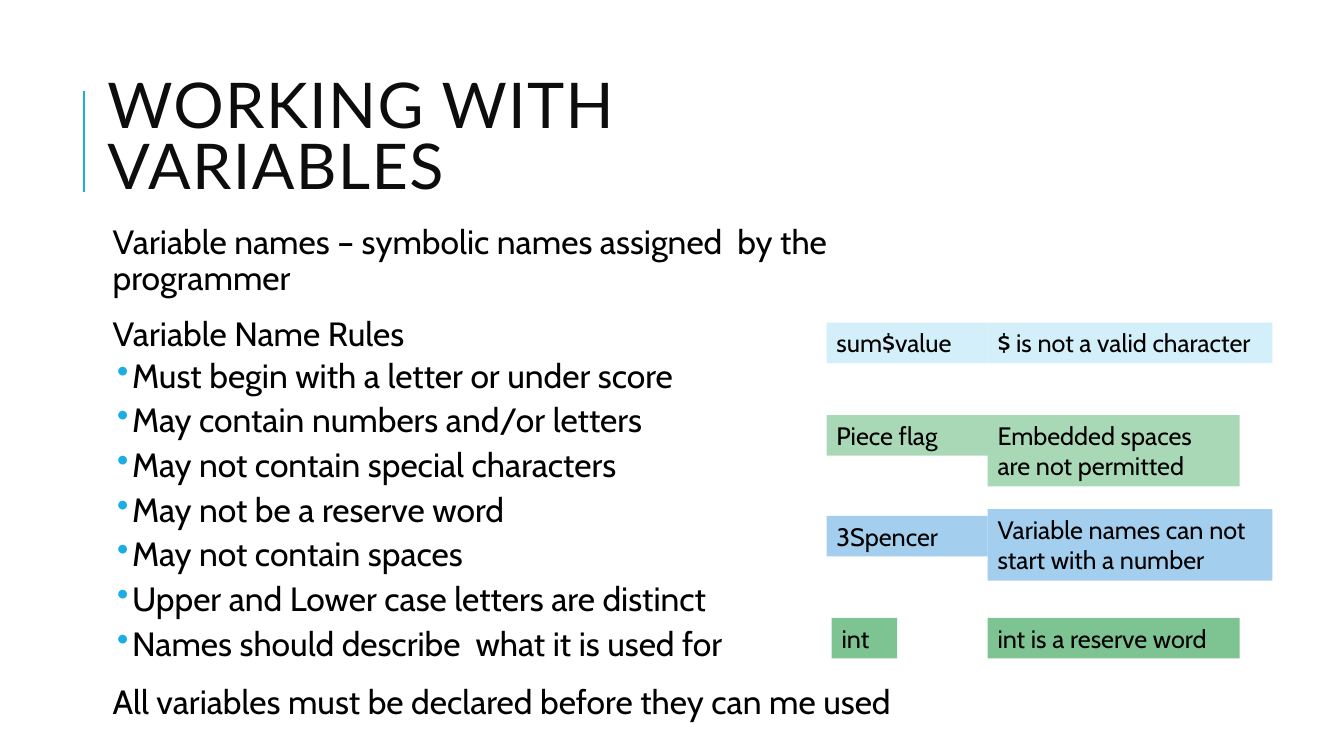
from dataclasses import dataclass

from lxml import etree
from pptx import Presentation
from pptx import util as u
from pptx.dml.color import RGBColor
from pptx.enum import shapes, text
from pptx.oxml.ns import qn


@dataclass
class Theme:
    accent: str = "1CADE4"
    heading: str = "0D0D0D"
    ink: str = "000000"
    sky: str = "D2EFFA"
    mint: str = "A9D8B7"
    blue: str = "A3CEED"
    green: str = "7EC492"
    heading_font: str = "Lato"
    body_font: str = "Cabin"
    heading_size: int = 45
    body_size: int = 24
    example_size: int = 18


theme = Theme()


def add_run(paragraph, wording, size, font=theme.body_font, color=theme.ink):
    """Add one styled run to a paragraph and return it."""
    run = paragraph.add_run()
    run.text = wording
    run.font.size = u.Pt(size)
    run.font.name = font
    run.font.color.rgb = RGBColor.from_string(color)
    return run


def set_bullet(paragraph):
    """Give a paragraph a hanging bullet in the accent colour."""
    props = paragraph._p.get_or_add_pPr()
    props.set("marL", str(u.Cm(0.74)))
    props.set("indent", str(u.Cm(-0.38)))
    bullet_color = etree.SubElement(props, qn("a:buClr"))
    etree.SubElement(bullet_color, qn("a:srgbClr"), val=theme.accent)
    etree.SubElement(props, qn("a:buChar"), char="•")


prs = Presentation()
prs.slide_width, prs.slide_height = u.Cm(33.87), u.Cm(19.05)
slide = prs.slides.add_slide(prs.slide_layouts[6])

# Heading with its accent rule
rule = slide.shapes.add_connector(
    shapes.MSO_CONNECTOR.STRAIGHT, u.Cm(2.11), u.Cm(4.83), u.Cm(2.11), u.Cm(2.29))
rule.line.color.rgb = RGBColor.from_string(theme.accent)
rule.line.width = u.Pt(1.5)
etree.SubElement(rule._element.spPr, qn("a:effectLst"))

heading = slide.shapes.add_textbox(u.Cm(2.46), u.Cm(2.92), u.Cm(14.17), u.Cm(1.27)).text_frame
heading.word_wrap = True
heading.vertical_anchor = text.MSO_ANCHOR.MIDDLE
heading.paragraphs[0].line_spacing = 0.8
heading_run = add_run(heading.paragraphs[0], "WORKING WITH VARIABLES",
                      theme.heading_size, theme.heading_font, theme.heading)
heading_run.font._element.set("spc", "100")

# Naming rules: (wording, is bulleted)
naming_rules = [
    ("Variable names – symbolic names assigned  by the programmer", False),
    ("Variable Name Rules", False),
    ("Must begin with a letter or under score", True),
    ("May contain numbers and/or letters", True),
    ("May not contain special characters", True),
    ("May not be a reserve word", True),
    ("May not contain spaces", True),
    ("Upper and Lower case letters are distinct", True),
    ("Names should describe  what it is used for", True),
    ("All variables must be declared before they can me used", False),
]
rules = slide.shapes.add_textbox(u.Cm(2.46), u.Cm(5.54), u.Cm(20.14), u.Cm(11.66)).text_frame
rules.word_wrap = True
rules.margin_left = rules.margin_right = u.Cm(0.13)
rules.margin_top = rules.margin_bottom = u.Cm(0.13)
for index, (wording, bulleted) in enumerate(naming_rules):
    paragraph = rules.add_paragraph() if index else rules.paragraphs[0]
    paragraph.line_spacing = 0.9
    paragraph.space_before = u.Pt(2 if bulleted else 12)
    paragraph.space_after = u.Pt(4 if bulleted else 2)
    if bulleted:
        paragraph.level = 1
        set_bullet(paragraph)
    else:
        paragraph._p.get_or_add_pPr().set("marL", str(u.Cm(0.25)))
    add_run(paragraph, wording, theme.body_size)

# Invalid names and the reason for each: (wording, left, top, width, lines, fill)
name_left, reason_left = 20.83, 24.89
line_heights = {1: 1.02, 2: 1.8}
examples = [
    ("sum$value", name_left, 8.13, 4.06, 1, theme.sky),
    ("$ is not a valid character", reason_left, 8.13, 7.18, 1, theme.sky),
    ("Piece flag", name_left, 10.46, 5.21, 1, theme.mint),
    ("Embedded spaces are not permitted", reason_left, 10.46, 6.35, 2, theme.mint),
    ("3Spencer", name_left, 13.0, 4.06, 1, theme.blue),
    ("Variable names can not start with a number", reason_left, 12.83, 7.18, 2, theme.blue),
    ("int", 20.96, 15.57, 1.65, 1, theme.green),
    ("int is a reserve word", reason_left, 15.57, 6.35, 1, theme.green),
]
for wording, left, top, width, lines, fill in examples:
    example = slide.shapes.add_shape(
        shapes.MSO_SHAPE.RECTANGLE,
        u.Cm(left), u.Cm(top), u.Cm(width), u.Cm(line_heights[lines]))
    example.shadow.inherit = False
    example.fill.solid()
    example.fill.fore_color.rgb = RGBColor.from_string(fill)
    example.line.fill.background()
    example.text_frame.word_wrap = True
    example.text_frame.vertical_anchor = text.MSO_ANCHOR.TOP
    paragraph = example.text_frame.paragraphs[0]
    paragraph.alignment = text.PP_ALIGN.LEFT
    add_run(paragraph, wording, theme.example_size)

prs.save("out.pptx")
